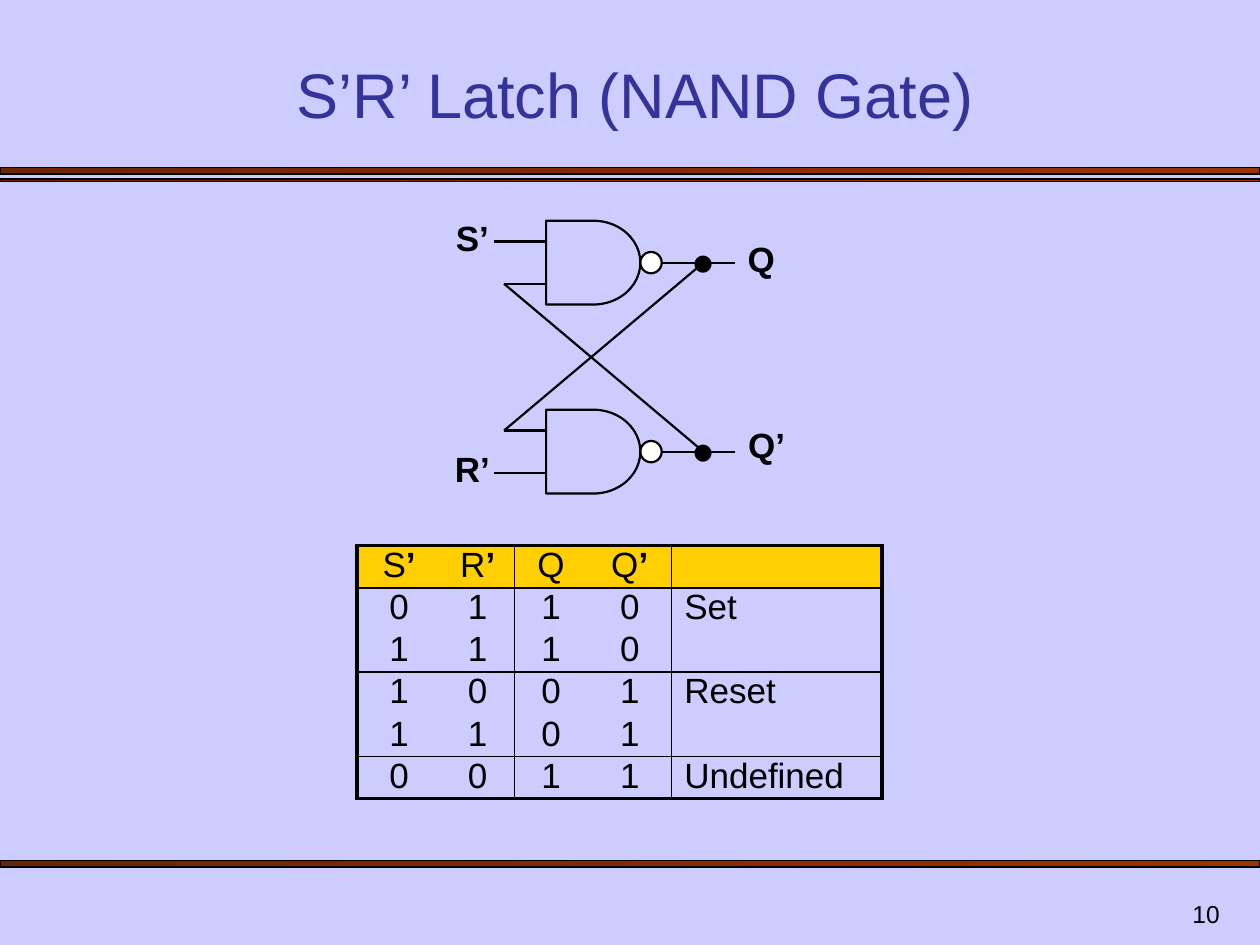
"""Build the S’R’ latch slide with its circuit and truth table."""
from lxml.etree import SubElement
from pptx import Presentation
from pptx.dml.color import RGBColor
from pptx.enum.shapes import MSO_CONNECTOR, MSO_SHAPE
from pptx.enum.text import MSO_ANCHOR, PP_ALIGN
from pptx.oxml.ns import qn
from pptx.util import Cm, Pt

BLACK = RGBColor(0x00, 0x00, 0x00)
WHITE = RGBColor(0xFF, 0xFF, 0xFF)
LAVENDER = RGBColor(0xCC, 0xCC, 0xFF)
INDIGO = RGBColor(0x33, 0x33, 0x99)
GOLD = RGBColor(0xFF, 0xCF, 0x01)
DARK_RUST = RGBColor(0x6D, 0x24, 0x00)
RUST = RGBColor(0x99, 0x33, 0x00)

TITLE = {"size": Pt(36), "name": "Arial", "bold": False}
LABEL = {"size": Pt(20), "name": "Arial", "bold": True}
BODY = {"size": Pt(20), "name": "Arial", "bold": False}
NUMBER = {"size": Pt(14), "name": "Arial", "bold": False}


def add_run(p, text, fmt, color=BLACK):
    r = p.add_run()
    r.text = text
    for key, value in fmt.items():
        setattr(r.font, key, value)
    r.font.color.rgb = color


def add_text(shapes, box, text, fmt, align=PP_ALIGN.CENTER, anchor=MSO_ANCHOR.TOP):
    tf = shapes.add_textbox(*map(Cm, box)).text_frame
    tf.word_wrap = True
    tf.vertical_anchor = anchor
    p = tf.paragraphs[0]
    p.alignment = align
    add_run(p, text, fmt)


prs = Presentation()
prs.slide_width, prs.slide_height = Cm(25.4), Cm(19.05)
s = prs.slides.add_slide(prs.slide_layouts[5])
s.background.fill.solid()
s.background.fill.fore_color.rgb = LAVENDER

for top, height in [(3.38, 0.13), (3.61, 0.05), (17.35, 0.13)]:
    sp = s.shapes.add_shape(MSO_SHAPE.RECTANGLE, 0, Cm(top), prs.slide_width, Cm(height))
    sp.shadow.inherit = False
    sp.fill.gradient()
    sp.fill.gradient_angle = 0
    for stop, color, pos in zip(sp.fill.gradient_stops, (DARK_RUST, RUST), (0, 1)):
        stop.color.rgb = color
        stop.position = pos
    sp.line.color.rgb = BLACK
    sp.line.width = Pt(0.75)

add_text(s.shapes, (19.56, 17.78, 5.28, 1.07), "10", NUMBER,
         PP_ALIGN.RIGHT, MSO_ANCHOR.BOTTOM)

title = s.shapes.title
title.left, title.top, title.width, title.height = map(Cm, (1.48, 1.06, 22.65, 1.72))
title.text_frame.vertical_anchor = MSO_ANCHOR.BOTTOM
p = title.text_frame.paragraphs[0]
p.alignment = PP_ALIGN.CENTER
add_run(p, "S’R’ Latch (NAND Gate)", TITLE, INDIGO)

latch = s.shapes.add_group_shape().shapes
gate_x, gate_w, gate_h, bubble = 11.01, 1.9, 1.69, 0.43
feedback_x, node_x = 10.16, 14.18
gates = [(4.45, 0.42, 1.27), (8.26, 1.27, 0.42)]
wires = []
for (top, outer, inner), (other_top, _, _) in zip(gates, reversed(gates)):
    out_y = top + gate_h / 2
    wires += [
        (13.34, out_y, 14.82, out_y),
        (9.95, top + outer, gate_x, top + outer),
        (feedback_x, top + inner, gate_x, top + inner),
        (feedback_x, top + inner, node_x, other_top + gate_h / 2),
    ]
for wire in wires:
    line = latch.add_connector(MSO_CONNECTOR.STRAIGHT, *map(Cm, wire))
    line.line.color.rgb = BLACK
    line.line.width = Pt(1.25)
    SubElement(line.element.spPr, qn("a:effectLst"))

for top, _, _ in gates:
    add_text(latch, (13.55, top - 0.08, 1.27, 1.77), "•", TITLE)
    for kind, box in [
        (MSO_SHAPE.FLOWCHART_DELAY, (gate_x, top, gate_w, gate_h)),
        (MSO_SHAPE.OVAL, (gate_x + gate_w, top + (gate_h - bubble) / 2, bubble, bubble)),
    ]:
        sp = latch.add_shape(kind, *map(Cm, box))
        sp.shadow.inherit = False
        sp.line.color.rgb = BLACK
        sp.line.width = Pt(1.25)
        if kind == MSO_SHAPE.OVAL:
            sp.fill.solid()
            sp.fill.fore_color.rgb = WHITE
        else:
            sp.fill.background()

for text, left, top, width, align in [
    ("S’", 8.89, 4.23, 1.27, PP_ALIGN.CENTER),
    ("R’", 8.89, 8.89, 1.27, PP_ALIGN.CENTER),
    ("Q’", 14.82, 8.42, 1.27, PP_ALIGN.CENTER),
    ("Q", 14.82, 4.66, 1.91, PP_ALIGN.LEFT),
]:
    add_text(latch, (left, top, width, 1.1), text, LABEL, align)

rows = [
    ("S’", "R’", "Q", "Q’", ""),
    ("0", "1", "1", "0", "Set"),
    ("1", "1", "1", "0", ""),
    ("1", "0", "0", "1", "Reset"),
    ("1", "1", "0", "1", ""),
    ("0", "0", "1", "1", "Undefined"),
]
col_widths = [1.69, 1.48, 1.48, 1.69, 4.24]
row_rules = [2.25, 1, 0, 1, 0, 1, 2.25]
col_rules = [2.25, 0, 1, 0, 1, 2.25]
table = s.shapes.add_table(len(rows), len(col_widths), Cm(7.2), Cm(11),
                           Cm(sum(col_widths)), Cm(5.1)).table
table.first_row = table.horz_banding = False
for col, width in zip(table.columns, col_widths):
    col.width = Cm(width)
for i, row in enumerate(rows):
    table.rows[i].height = Cm(0.85)
    for j, text in enumerate(row):
        cell = table.cell(i, j)
        cell.margin_top = cell.margin_bottom = 0
        p = cell.text_frame.paragraphs[0]
        p.alignment = PP_ALIGN.LEFT if j == 4 else PP_ALIGN.CENTER
        p.font.size = Pt(20)
        for char in [text] if j == 4 else text:
            if char:
                add_run(p, char, LABEL if char == "’" else BODY)
        tcPr = cell._tc.get_or_add_tcPr()
        for side, width in zip(("L", "R", "T", "B"), (
                col_rules[j], col_rules[j + 1], row_rules[i], row_rules[i + 1])):
            ln = SubElement(tcPr, qn(f"a:ln{side}"), w=str(Pt(width)))
            fill = SubElement(ln, qn("a:solidFill" if width else "a:noFill"))
            if width:
                SubElement(fill, qn("a:srgbClr"), val=str(BLACK))
        if i == 0:
            cell.fill.solid()
            cell.fill.fore_color.rgb = GOLD
        else:
            cell.fill.background()
for i in (1, 3):
    table.cell(i, 4).merge(table.cell(i + 1, 4))

prs.save("out.pptx")
